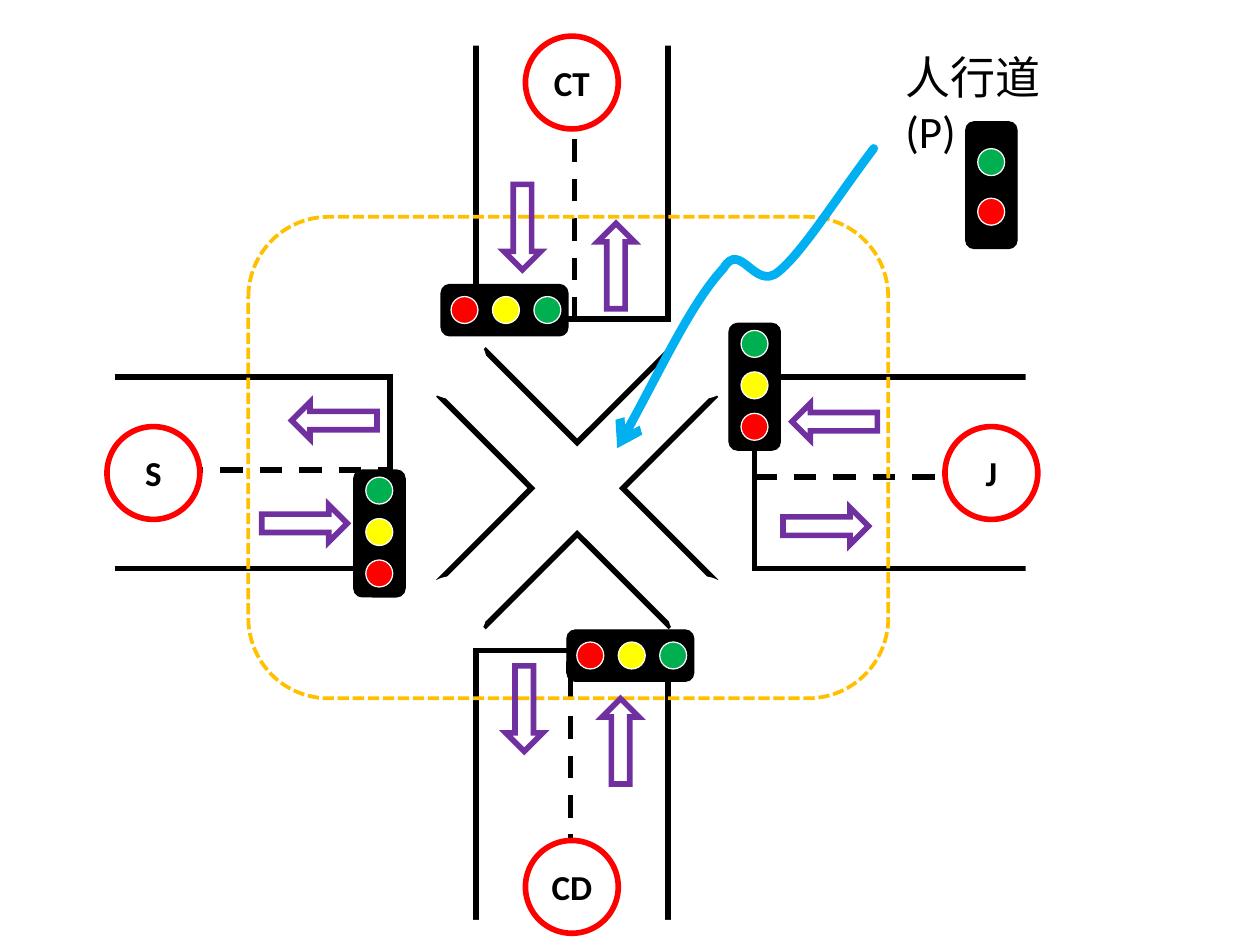
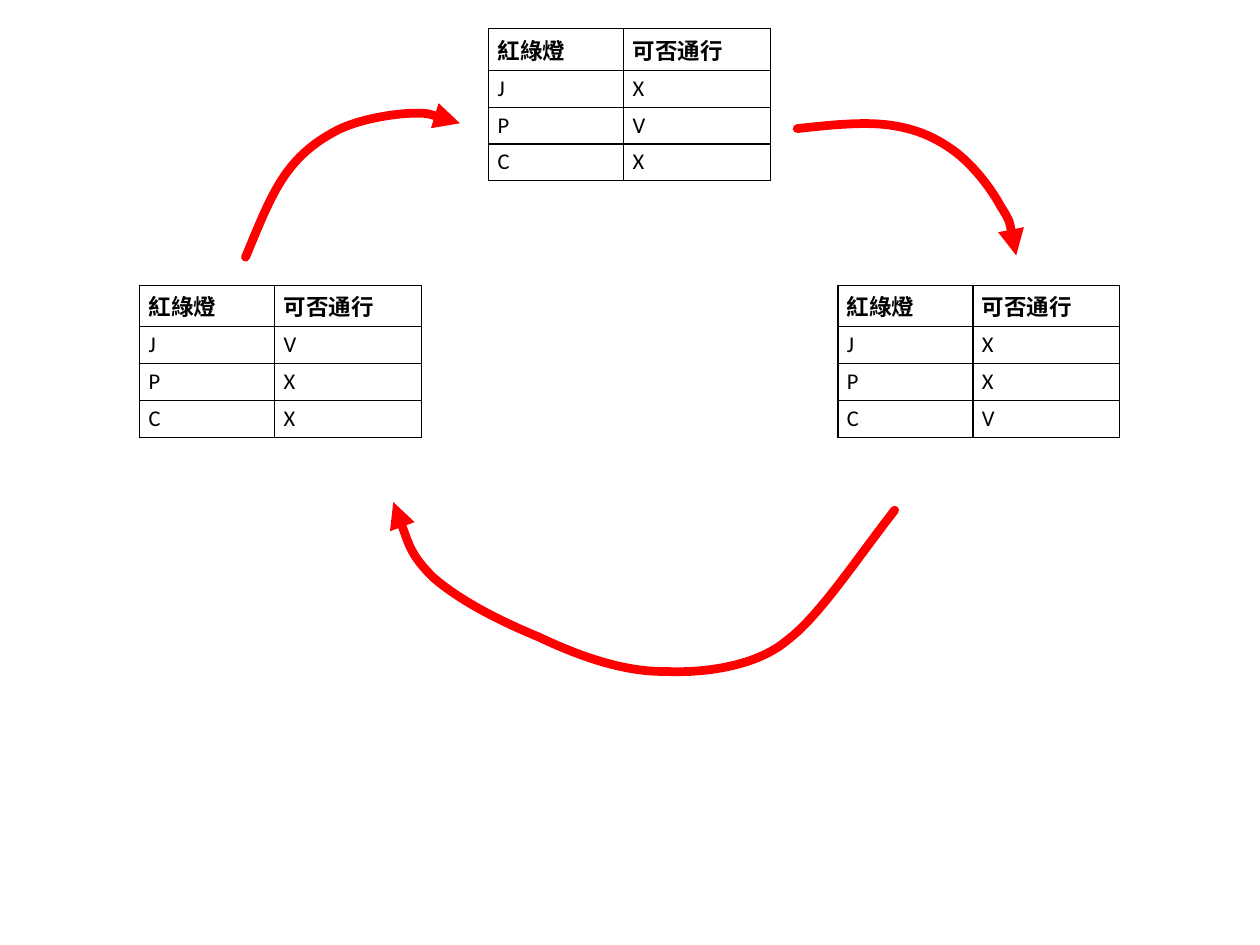
from dataclasses import dataclass

from lxml import etree
from pptx import Presentation, util as u
from pptx.dml.color import RGBColor
from pptx.enum import dml, shapes, text
from pptx.oxml.ns import qn

HUES = {
    "white": "FFFFFF", "black": "000000", "red": "FF0000", "yellow": "FFFF00",
    "green": "00B050", "gold": "FFC000", "violet": "7030A0", "blue": "00B0F0",
}
FONT = "Calibri"
KIND = shapes.MSO_SHAPE
DASH = dml.MSO_LINE


@dataclass
class Pen:
    hue: str
    size: float
    dash: DASH | None = None


@dataclass
class Box:
    left: float
    top: float
    width: float
    height: float
    turn: int = 0


@dataclass
class Light:
    left: float
    top: float
    turn: int = 0
    lamps: tuple = ("red", "yellow", "green")
    start: float = 0.28
    step: float = 1.17


@dataclass
class Curve:
    points: list
    hue: str
    head: str


@dataclass
class State:
    left: float
    top: float
    marks: str


ROAD = Pen("black", 4.5)
LANE = Pen("black", 4.5, DASH.DASH)
RIM = Pen("white", 1)

MASKS = [Box(x, y, 1.93, 1.93) for x in (11.8, 18.85) for y in (9.31, 16.28)]
ROADS = [
    Box(x, y, 5.41, 7.98, turn)
    for x, y, turn in [(13.44, 1.02, 0), (13.44, 18.36, 0), (22.58, 9.35, 90), (4.32, 9.35, 90)]
]
COVERS = [
    Box(x, y, 6.38, 0.71, turn)
    for x, y, turn in [(13, 0.58, 0), (13, 25.96, 0), (26.11, 12.98, 90), (-0.3, 12.98, 90)]
]
LIGHTS = [
    Light(16, 17.78), Light(12.45, 8.03),
    Light(19.51, 10.19, 270), Light(8.92, 14.33, 270),
]
WALK = Light(26.19, 4.5, 270, ("red", "green"), 0.66, 1.4)
LANES = [
    (3.99, 13.26, 11.07, 13.26), (21.29, 13.46, 28.4, 13.46),
    (16.21, 9.02, 16.21, 1.9), (16.1, 25.3, 16.1, 18.19),
]
NODES = {"S": (3.02, 12.04), "J": (26.67, 12.04), "CT": (14.83, 1.02), "CD": (14.83, 23.72)}
ZONE = Box(7.01, 6.12, 18.06, 13.59)
FLOWS = [
    Box(x, y, 2.41, 1.04, turn)
    for x, y, turn in [
        (22.1, 14.33, 0), (7.39, 14.25, 0), (16.31, 20.4, 270), (16.18, 6.99, 270),
        (13.54, 5.89, 90), (13.59, 19.48, 90), (22.35, 11.38, 180), (8.23, 11.35, 180),
    ]
]
POINTER = Curve([
    (24.66, 4.19), (23.6, 5.59), (22.66, 7.11), (21.97, 7.67), (21.3, 8.23), (20.9, 6.76),
    (20.42, 7.57), (19.53, 8.53), (18.49, 10.77), (17.42, 12.65),
], "blue", "arrow")
STATES = [State(23.65, 8.05, "XXV"), State(13.79, 0.81, "XVX"), State(3.94, 8.05, "VXX")]
STEPS = [
    Curve([
        (25.25, 14.4), (24.16, 15.8), (23.11, 17.4), (22.23, 18.06), (21.31, 18.85),
        (19.74, 19), (18.77, 18.95), (17.58, 18.97), (16.28, 18.49), (15.21, 17.98),
        (14, 17.48), (12.98, 16.94), (12.24, 16.31), (11.58, 15.67), (11.35, 14.83),
        (11.1, 14.17),
    ], "red", "triangle"),
    Curve([
        (22.5, 3.63), (23.42, 3.53), (24.36, 3.43), (25.1, 3.53), (25.83, 3.63),
        (26.37, 3.86), (26.9, 4.24), (27.43, 4.62), (27.97, 5.31), (28.24, 5.82),
        (28.55, 6.3), (28.6, 6.76), (28.68, 7.21),
    ], "red", "triangle"),
    Curve([
        (6.93, 7.26), (7.29, 6.4), (7.62, 5.54), (8.05, 4.93), (8.48, 4.32), (8.97, 3.96),
        (9.55, 3.66), (10.13, 3.38), (10.97, 3.23), (11.56, 3.2), (12.12, 3.18),
        (12.55, 3.33), (12.98, 3.48),
    ], "red", "triangle"),
]


def tint(hue: str) -> RGBColor:
    return RGBColor.from_string(HUES[hue])


def paint(part, hue: str | None) -> None:
    if hue:
        part.fill.solid()
        part.fill.fore_color.rgb = tint(hue)
    else:
        part.fill.background()


def ink(line, pen: Pen | None) -> None:
    paint(line, pen.hue if pen else None)
    if pen:
        line.width = u.Pt(pen.size)
        if pen.dash:
            line.dash_style = pen.dash
        etree.SubElement(line._get_or_add_ln(), qn("a:miter"), lim="800000")


def style(frame, size: int, bold: bool = False) -> None:
    for para in frame.paragraphs:
        for run in para.runs:
            run.font.name = FONT
            run.font.size = u.Pt(size)
            run.font.bold = bold
            run.font.color.rgb = tint("black")


def draw(area, kind: KIND, box: Box, fill: str | None = None, pen: Pen | None = None):
    shape = area.add_shape(kind, u.Cm(box.left), u.Cm(box.top), u.Cm(box.width), u.Cm(box.height))
    shape.rotation = box.turn
    shape.shadow.inherit = False
    paint(shape, fill)
    ink(shape.line, pen)
    return shape


def add_light(area, light: Light) -> None:
    group = area.add_group_shape()
    body = Box(light.left, light.top, 3.58, 1.45)
    draw(group.shapes, KIND.ROUNDED_RECTANGLE, body, "black", Pen("black", 1))
    for i, hue in enumerate(light.lamps):
        lamp = Box(light.left + light.start + i * light.step, light.top + 0.34, 0.76, 0.76)
        draw(group.shapes, KIND.OVAL, lamp, hue, RIM)
    group.rotation = light.turn


def add_lane(area, ends: tuple) -> None:
    lane = area.add_connector(shapes.MSO_CONNECTOR.STRAIGHT, *map(u.Cm, ends))
    ink(lane.line, LANE)
    etree.SubElement(lane._element.spPr, qn("a:effectLst"))


def add_node(area, name: str, spot: tuple) -> None:
    node = draw(area, KIND.OVAL, Box(*spot, 2.62, 2.62), "white", Pen("red", 4.5))
    frame = node.text_frame
    frame.text = name
    frame.word_wrap = False
    frame.vertical_anchor = text.MSO_ANCHOR.MIDDLE
    frame.paragraphs[0].alignment = text.PP_ALIGN.CENTER
    style(frame, 28, True)


def add_curve(area, curve: Curve) -> None:
    start, *rest = [(u.Cm(x), u.Cm(y)) for x, y in curve.points]
    maker = area.build_freeform(*start)
    maker.add_line_segments(rest, close=False)
    shape = maker.convert_to_shape()
    legs = list(shape._element.iter(qn("a:lnTo")))
    for i in range(0, len(legs), 3):
        bend = etree.Element(qn("a:cubicBezTo"))
        legs[i].addprevious(bend)
        for leg in legs[i:i + 3]:
            bend.append(leg[0])
            leg.getparent().remove(leg)
    shape.shadow.inherit = False
    paint(shape, None)
    ink(shape.line, Pen(curve.hue, 7))
    edge = shape.line._get_or_add_ln()
    edge.set("cap", "rnd")
    etree.SubElement(edge, qn("a:tailEnd"), type=curve.head)


def add_border(cell) -> None:
    props = cell._tc.get_or_add_tcPr()
    for side in ("lnL", "lnR", "lnT", "lnB"):
        edge = etree.SubElement(props, qn(f"a:{side}"), w=str(u.Pt(1)))
        fill = etree.SubElement(edge, qn("a:solidFill"))
        etree.SubElement(fill, qn("a:srgbClr"), val=HUES["black"])


def add_state(area, state: State) -> None:
    rows = [("紅綠燈", "可否通行"), *zip("JPC", state.marks)]
    table = area.add_table(
        len(rows), 2, u.Cm(state.left), u.Cm(state.top), u.Cm(7.95), u.Cm(4.16)
    ).table
    for col, width in zip(table.columns, (3.81, 4.14)):
        col.width = u.Cm(width)
    for r, row in enumerate(rows):
        table.rows[r].height = u.Cm(1.04)
        for c, word in enumerate(row):
            cell = table.cell(r, c)
            add_border(cell)
            paint(cell, "white")
            cell.text_frame.text = word
            style(cell.text_frame, 18, r == 0)


def add_label(area) -> None:
    label = area.add_textbox(u.Cm(25.3), u.Cm(1.27), u.Cm(5.79), u.Cm(1.8))
    frame = label.text_frame
    frame.text = "人行道(P)"
    frame.word_wrap = True
    frame.margin_right = u.Cm(1.3)
    style(frame, 36)


def build_cross(area) -> None:
    cross = draw(area, KIND.CROSS, Box(11.73, 9.22, 9.12, 9.12, 45), "white", ROAD)
    cross.adjustments[0] = 0.4
    for box in MASKS:
        draw(area, KIND.OVAL, box, "white", RIM)
    for box in ROADS:
        draw(area, KIND.RECTANGLE, box, "white", ROAD)
    for box in COVERS:
        draw(area, KIND.RECTANGLE, box, "white")
    for light in LIGHTS:
        add_light(area, light)
    for ends in LANES:
        add_lane(area, ends)
    for name, spot in NODES.items():
        add_node(area, name, spot)
    draw(area, KIND.ROUNDED_RECTANGLE, ZONE, None, Pen("gold", 3, DASH.SQUARE_DOT))
    for box in FLOWS:
        draw(area, KIND.RIGHT_ARROW, box, None, Pen("violet", 4.5))
    add_curve(area, POINTER)
    add_label(area)
    add_light(area, WALK)


def build_cycle(area) -> None:
    for state in STATES:
        add_state(area, state)
    for curve in STEPS:
        add_curve(area, curve)


def main() -> None:
    deck = Presentation()
    deck.slide_width, deck.slide_height = u.Cm(35.56), u.Cm(26.67)
    for build in (build_cross, build_cycle):
        build(deck.slides.add_slide(deck.slide_layouts[6]).shapes)
    deck.save("out.pptx")


if __name__ == "__main__":
    main()
